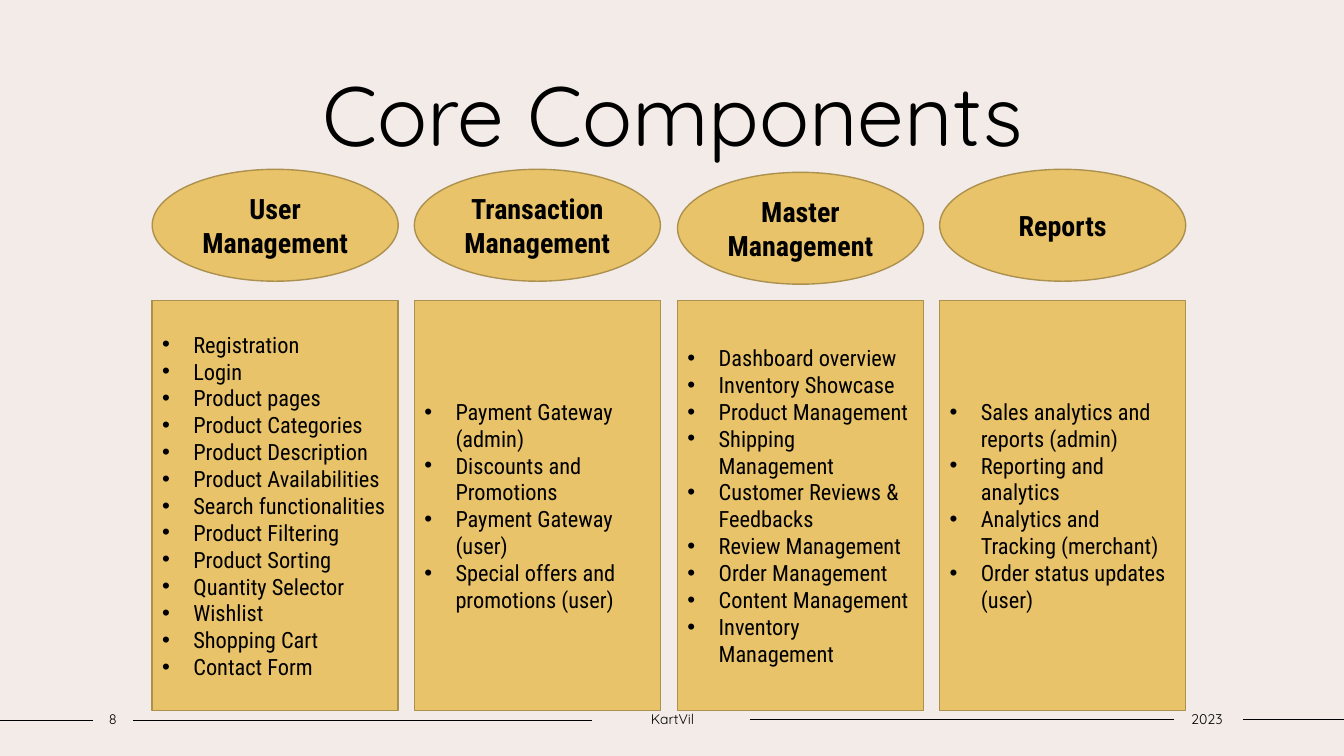
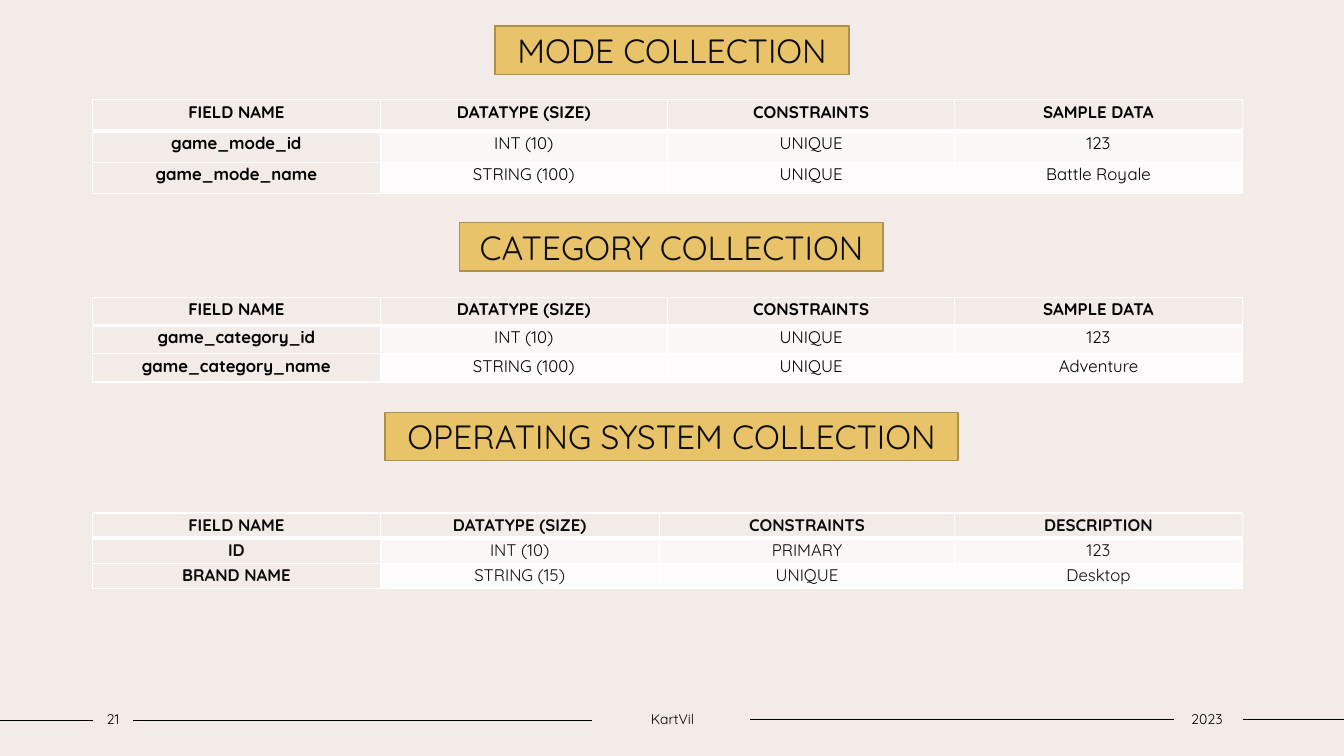
from lxml import etree
from pptx import Presentation
from pptx import util as u
from pptx.dml import color
from pptx.enum import shapes, text
from pptx.oxml import ns

PX = 9144
WIDTH, HEIGHT = 1333, 750
COLORS = {"paper": "F3EBE8", "gold": "E9C369", "edge": "AC904E", "black": "000000",
          "ink": "0D0D0D", "white": "FFFFFF", "band": "FAF7F6", "pale": "FDFBFB"}
SANS, NARROW = "Quicksand", "Roboto Condensed"
STYLES = {
    "title": {"name": SANS, "size": u.Pt(60)},
    "footer": {"name": SANS, "size": u.Pt(10)},
    "heading": {"name": NARROW, "size": u.Pt(20), "bold": True},
    "list": {"name": NARROW, "size": u.Pt(16)},
    "banner": {"name": SANS, "size": u.Pt(24)},
    "key": {"name": SANS, "size": u.Pt(12), "bold": True},
    "cell": {"name": SANS, "size": u.Pt(12), "bold": False},
}
FOOTER_LINES = [(0, 92, 715), (132, 587, 715), (744, 1164, 714), (1233, 1333, 714)]

COMPONENTS = [
    ("User Management", 168, [
        "Registration", "Login", "Product pages", "Product Categories", "Product Description",
        "Product Availabilities", "Search functionalities", "Product Filtering",
        "Product Sorting", "Quantity Selector", "Wishlist", "Shopping Cart", "Contact Form"]),
    ("Transaction Management", 168, [
        "Payment Gateway (admin)", "Discounts and Promotions", "Payment Gateway (user)",
        "Special offers and promotions (user)"]),
    ("Master Management", 171, [
        "Dashboard overview", "Inventory Showcase", "Product Management",
        "Shipping Management", "Customer Reviews & Feedbacks", "Review Management",
        "Order Management", "Content Management", "Inventory Management"]),
    ("Reports", 168, [
        "Sales analytics and reports (admin)", "Reporting and analytics",
        "Analytics and Tracking (merchant)", "Order status updates (user)"]),
]

HEADER = ["FIELD NAME", "DATATYPE (SIZE)", "CONSTRAINTS"]
EVEN = [285, 285, 285, 285]
COLLECTIONS = [
    ("MODE COLLECTION", 351, 26, 99, 31, EVEN, "black", [
        HEADER + ["SAMPLE DATA"],
        ["game_mode_id", "INT (10)", "UNIQUE", "123"],
        ["game_mode_name", "STRING (100)", "UNIQUE", "Battle Royale"]]),
    ("CATEGORY COLLECTION", 420, 221, 295, 28, EVEN, "black", [
        HEADER + ["SAMPLE DATA"],
        ["game_category_id", "INT (10)", "UNIQUE", "123"],
        ["game_category_name", "STRING (100)", "UNIQUE", "Adventure"]]),
    ("OPERATING SYSTEM COLLECTION", 568, 409, 509, 25, [285, 277, 293, 285], "ink", [
        HEADER + ["DESCRIPTION"],
        ["ID", "INT (10)", "PRIMARY", "123"],
        ["BRAND NAME", "STRING (15)", "UNIQUE", "Desktop"]]),
]


def px(*lengths):
    return [u.Emu(length * PX) for length in lengths]


def rgb(name):
    return color.RGBColor.from_string(COLORS[name])


def assign(target, values):
    for name, value in values.items():
        setattr(target, name, value)


class Deck:
    """Holds the deck style and draws on the current slide."""

    def __init__(self):
        self.deck = Presentation()
        self.deck.slide_width, self.deck.slide_height = px(WIDTH, HEIGHT)

    def new_page(self, number):
        self.page = self.deck.slides.add_slide(self.deck.slide_layouts[6])
        fill = self.page.background.fill
        fill.solid()
        fill.fore_color.rgb = rgb("paper")
        for start, end, top in FOOTER_LINES:
            self.line(start, end, top)
        for label, left, width in [(number, 92, 40), ("KartVil", 587, 160), ("2023", 1162, 70)]:
            self.label(label, (left, 700, width, 27), "footer", 0)

    def line(self, start, end, top):
        line = self.page.shapes.add_connector(
            shapes.MSO_CONNECTOR.STRAIGHT, *px(start, top, end, top))
        line.line.color.rgb = rgb("black")
        line.line.width = u.Pt(1)
        etree.SubElement(line._element.spPr, ns.qn("a:effectLst"))

    def set_text(self, para, words, style, ink="black"):
        para.text = words
        assign(para.font, STYLES[style])
        para.font.color.rgb = rgb(ink)

    def frame(self, box, side=10):
        left, top = px(side, 5)
        assign(box.text_frame, {
            "word_wrap": True, "vertical_anchor": text.MSO_ANCHOR.MIDDLE,
            "margin_left": left, "margin_right": left,
            "margin_top": top, "margin_bottom": top})
        return box.text_frame

    def label(self, words, area, style, side=10):
        para = self.frame(self.page.shapes.add_textbox(*px(*area)), side).paragraphs[0]
        para.alignment = text.PP_ALIGN.CENTER
        self.set_text(para, words, style)

    def panel(self, kind, area):
        box = self.page.shapes.add_shape(kind, *px(*area))
        box.shadow.inherit = False
        box.fill.solid()
        box.fill.fore_color.rgb = rgb("gold")
        box.line.color.rgb = rgb("edge")
        box.line.width = u.Pt(1)
        return self.frame(box)

    def heading(self, kind, area, words, style, ink="black"):
        para = self.panel(kind, area).paragraphs[0]
        para.alignment = text.PP_ALIGN.CENTER
        self.set_text(para, words, style, ink)

    def bullets(self, area, items):
        frame = self.panel(shapes.MSO_SHAPE.RECTANGLE, area)
        for index, item in enumerate(items):
            para = frame.add_paragraph() if index else frame.paragraphs[0]
            para.alignment = text.PP_ALIGN.LEFT
            props = para._p.get_or_add_pPr()
            props.set("marL", str(31 * PX))
            props.set("indent", str(-31 * PX))
            etree.SubElement(props, ns.qn("a:buFont"), typeface="Arial")
            etree.SubElement(props, ns.qn("a:buChar"), char="•")
            self.set_text(para, item, "list")

    def borders(self, cell, row):
        props = cell._tc.get_or_add_tcPr()
        widths = {"lnL": 1, "lnR": 1, "lnT": 3 if row == 1 else 1, "lnB": 1 if row else 3}
        for tag, width in widths.items():
            edge = etree.SubElement(props, ns.qn("a:" + tag), w=str(u.Pt(width)))
            fill = etree.SubElement(edge, ns.qn("a:solidFill"))
            etree.SubElement(fill, ns.qn("a:srgbClr"), val=COLORS["white"])

    def table(self, left, top, widths, row_height, rows, ink):
        area = px(left, top, sum(widths), row_height * len(rows))
        table = self.page.shapes.add_table(len(rows), len(widths), *area).table
        for column, width in zip(table.columns, px(*widths)):
            column.width = width
        side, = px(7)
        for row, values in enumerate(rows):
            for column, value in enumerate(values):
                cell = table.cell(row, column)
                is_key = row == 0 or column == 0
                self.borders(cell, row)
                assign(cell, {"margin_left": side, "margin_right": side,
                              "margin_top": 0, "margin_bottom": 0})
                cell.fill.solid()
                cell.fill.fore_color.rgb = rgb(
                    "paper" if is_key else "band" if row % 2 else "pale")
                para = cell.text_frame.paragraphs[0]
                assign(para, {"alignment": text.PP_ALIGN.CENTER,
                              "line_spacing": 1.07, "space_after": u.Pt(8)})
                self.set_text(para, value, "key" if is_key else "cell", ink)


def main():
    deck = Deck()
    deck.new_page("8")
    deck.label("Core Components", (125, 56, 1084, 111), "title")
    for index, (name, top, items) in enumerate(COMPONENTS):
        left = 151 + round(index * 781 / 3)
        deck.heading(shapes.MSO_SHAPE.OVAL, (left, top, 244, 111), name, "heading")
        deck.bullets((left, 298, 244, 407), items)

    deck.new_page("21")
    for name, width, top, table_top, row_height, widths, ink, rows in COLLECTIONS:
        area = ((WIDTH - width) // 2, top, width, 48)
        deck.heading(shapes.MSO_SHAPE.RECTANGLE, area, name, "banner", "ink")
        deck.table(92, table_top, widths, row_height, rows, ink)
    deck.deck.save("out.pptx")


if __name__ == "__main__":
    main()
